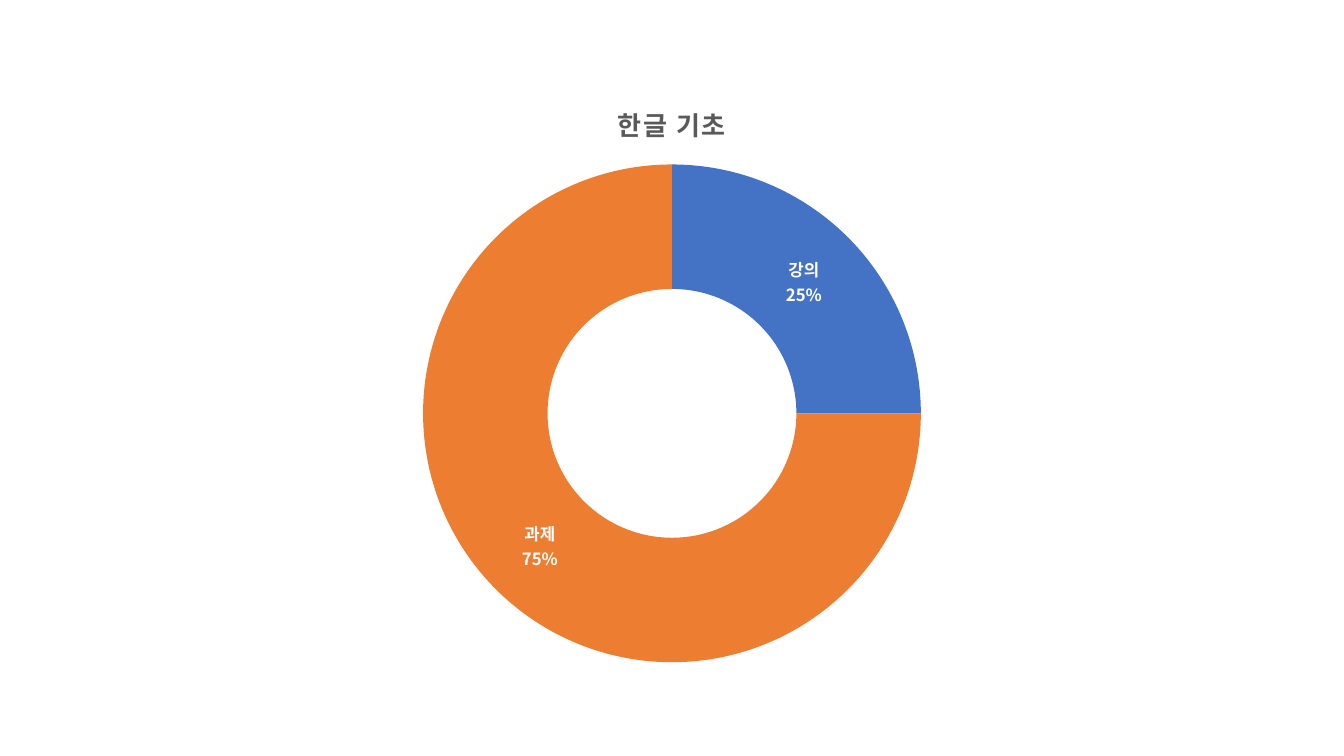
from pptx import Presentation
from pptx.chart.data import CategoryChartData
from pptx.dml.color import RGBColor
from pptx.enum.chart import XL_CHART_TYPE as CT
from pptx.oxml.ns import qn
from pptx.util import Pt
from lxml import etree

FONT = "Noto Sans CJK KR"
COLORS = {"lecture": "4472C4", "task": "ED7D31", "title": "595959",
          "label": "FFFFFF", "text": "000000"}


def set_font(font, size, color, bold=False):
    font.name, font.size, font.bold = FONT, Pt(size), bold
    font.color.rgb = RGBColor.from_string(COLORS[color])
    latin = font._element.find(qn("a:latin"))
    ea = etree.Element(qn("a:ea"), typeface=FONT)
    latin.addnext(ea)


def add_text(tf, text, size, color, bold=False, spacing=0):
    r = tf.paragraphs[0].add_run()
    r.text = text
    set_font(r.font, size, color, bold)
    r.font._element.set("spc", str(spacing))


prs = Presentation()
prs.slide_width, prs.slide_height = Pt(960), Pt(540)
s = prs.slides.add_slide(prs.slide_layouts[6])

# Doughnut chart
data = CategoryChartData()
data.categories = ["강의", "과제"]
data.add_series("Series 1", (25, 75))
chart = s.shapes.add_chart(CT.DOUGHNUT, Pt(66), Pt(57), Pt(828), Pt(426), data).chart
set_font(chart.font, 10, "text")
chart.has_legend = False

# Title
chart.has_title = True
chart.chart_title.include_in_layout = False
add_text(chart.chart_title.text_frame, "한글 기초", size=18.6, color="title",
         bold=True, spacing=100)

# Slice colours
plot = chart.plots[0]
plot.vary_by_categories = True
series = plot.series[0]
for i, name in enumerate(("lecture", "task")):
    fmt = series.points[i].format
    fmt.fill.solid()
    fmt.fill.fore_color.rgb = RGBColor.from_string(COLORS[name])
    fmt.line.fill.background()

# Category and share on two lines
labels = series.data_labels
labels.show_category_name = labels.show_percentage = True
labels.show_value = False
set_font(labels.font, 12, "label", bold=True)
separator = etree.Element(qn("c:separator"))
separator.text = "\n"
labels._element.find(qn("c:showBubbleSize")).addnext(separator)

prs.save("out.pptx")
